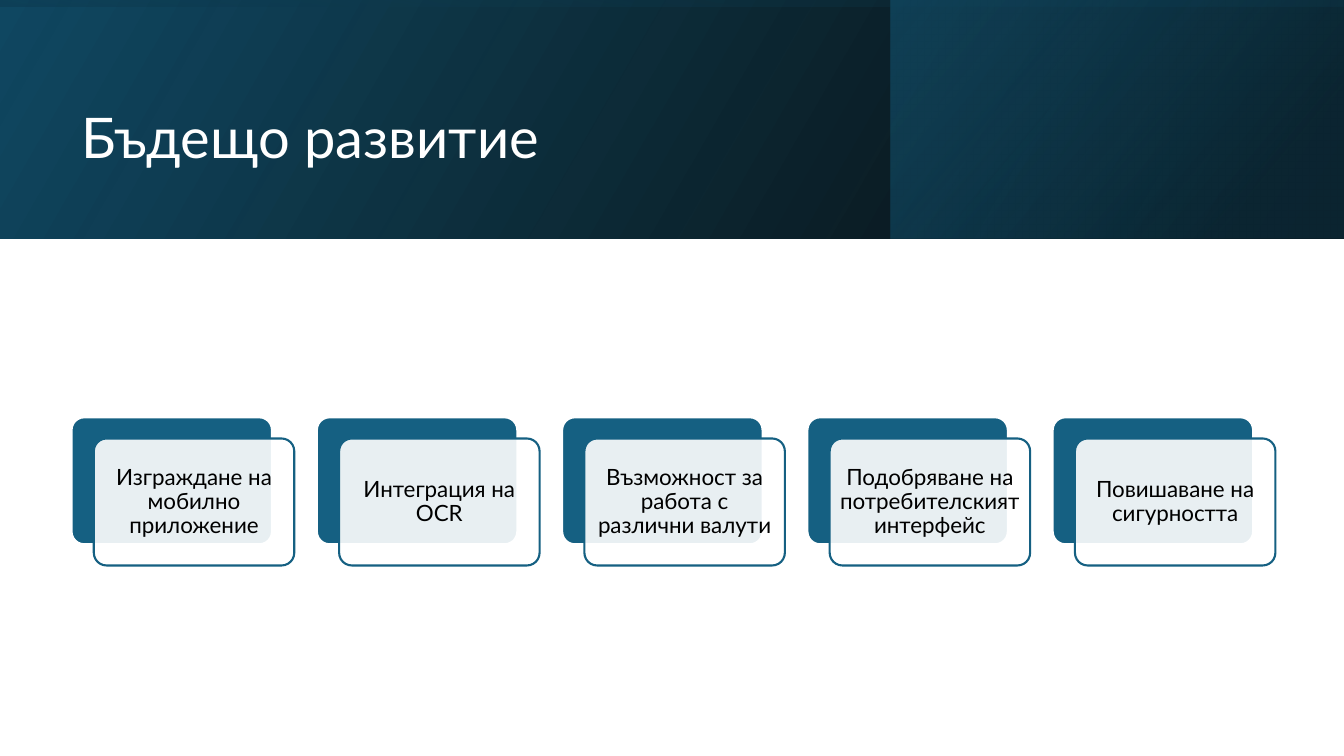
import pptx
import pptx.util
import pptx.dml.color
import pptx.enum.shapes
import pptx.enum.text
import pptx.oxml
import pptx.oxml.ns

WIDE, HIGH = 13.33, 7.5
FONT = "Lato"
HEX = {
    "white": "FFFFFF",
    "black": "000000",
    "teal": "156082",
    "deep": "104862",
    "navy": "0B3041",
}
GOALS = [
    "Изграждане на мобилно приложение",
    "Интеграция на OCR",
    "Възможност за работа с различни валути",
    "Подобряване на потребителският интерфейс",
    "Повишаване на сигурността",
]
KINDS = pptx.enum.shapes.MSO_SHAPE
qn = pptx.oxml.ns.qn


def tint(name):
    return pptx.dml.color.RGBColor.from_string(HEX[name])


def inches(box):
    return [pptx.util.Inches(side) for side in box]


def add_shape(slide, kind, box):
    shape = slide.shapes.add_shape(kind, *inches(box))
    shape.shadow.inherit = False
    return shape


def write(shape, text, size, color, align):
    frame = shape.text_frame
    frame.word_wrap = True
    frame.vertical_anchor = pptx.enum.text.MSO_ANCHOR.MIDDLE
    line = frame.paragraphs[0]
    line.alignment = align
    line.line_spacing = 0.9
    run = line.add_run()
    run.text = text
    run.font.name = FONT
    run.font.size = pptx.util.Pt(size)
    run.font.color.rgb = tint(color)


def add_fade(slide, box, stops, angle, turn=0):
    """Add a mirrored rectangle; stops are (place, colour, opacity) in percent."""
    shape = add_shape(slide, KINDS.RECTANGLE, box)
    shape.line.fill.background()
    shape.rotation = turn
    props = shape._element.spPr
    props.find(qn("a:xfrm")).set("flipH", "1")
    marks = "".join(
        f'<a:gs pos="{place * 1000}"><a:srgbClr val="{HEX[name]}">'
        f'<a:alpha val="{alpha * 1000}"/></a:srgbClr></a:gs>'
        for place, name, alpha in stops
    )
    fade = pptx.oxml.parse_xml(
        f'<a:gradFill {pptx.oxml.ns.nsdecls("a")} rotWithShape="1">'
        f'<a:gsLst>{marks}</a:gsLst><a:lin ang="{angle * 60000}" scaled="0"/>'
        "</a:gradFill>"
    )
    props.find(qn("a:prstGeom")).addnext(fade)


def add_banner(slide, box, title):
    left, top, wide, high = box
    add_fade(slide, box, [(0, "black", 96), (100, "deep", 100)], 330)
    panel = (left + 0.663 * wide, top, 0.337 * wide, high)
    add_fade(slide, panel, [(19, "navy", 68), (100, "teal", 48)], 320)
    # A quarter turn about the centre lays this tall shape over the banner.
    shade = (left + (wide - high) / 2, top + (high - wide) / 2, high, wide)
    add_fade(slide, shade, [(23, "deep", 16), (99, "black", 45)], 350, 270)
    place = (left + 0.053 * wide, top + 0.224 * high, 0.797 * wide, 0.726 * high)
    label = slide.shapes.add_textbox(*inches(place))
    write(label, title, 40, "white", pptx.enum.text.PP_ALIGN.LEFT)


def add_plate(slide, box, fill, edge):
    plate = add_shape(slide, KINDS.ROUNDED_RECTANGLE, box)
    plate.adjustments[0] = 0.1
    plate.fill.solid()
    plate.fill.fore_color.rgb = tint(fill)
    plate.line.color.rgb = tint(edge)
    plate.line.width = pptx.util.Pt(1.5)
    return plate


def add_card(slide, box, text):
    """Add a solid plate with a see-through text plate shifted over it."""
    left, top, wide, high = box
    plate_w, plate_h = 0.9 * wide, 0.857 * high
    add_plate(slide, (left, top, plate_w, plate_h), "teal", "white")
    front = (left + wide - plate_w, top + high - plate_h, plate_w, plate_h)
    card = add_plate(slide, front, "white", "teal")
    color = card._element.spPr.find(qn("a:solidFill"))[0]
    color.append(
        pptx.oxml.parse_xml(f'<a:alpha {pptx.oxml.ns.nsdecls("a")} val="90000"/>')
    )
    frame = card.text_frame
    frame.margin_left = frame.margin_right = pptx.util.Inches(0.04)
    frame.margin_top = frame.margin_bottom = pptx.util.Inches(0.07)
    write(card, text, 16, "black", pptx.enum.text.PP_ALIGN.CENTER)


def add_cards(slide, box, texts):
    left, top, wide, high = box
    card_w = 0.185 * wide
    step = (wide - card_w) / (len(texts) - 1)
    for col, text in enumerate(texts):
        add_card(slide, (left + col * step, top, card_w, high), text)


def main():
    deck = pptx.Presentation()
    deck.slide_width, deck.slide_height = inches((WIDE, HIGH))
    slide = deck.slides.add_slide(deck.slide_layouts[6])
    add_banner(slide, (0, 0, WIDE, 2.37), "Бъдещо развитие")
    add_cards(slide, (0.71, 4.14, 11.94, 1.47), GOALS)
    deck.save("out.pptx")


if __name__ == "__main__":
    main()
